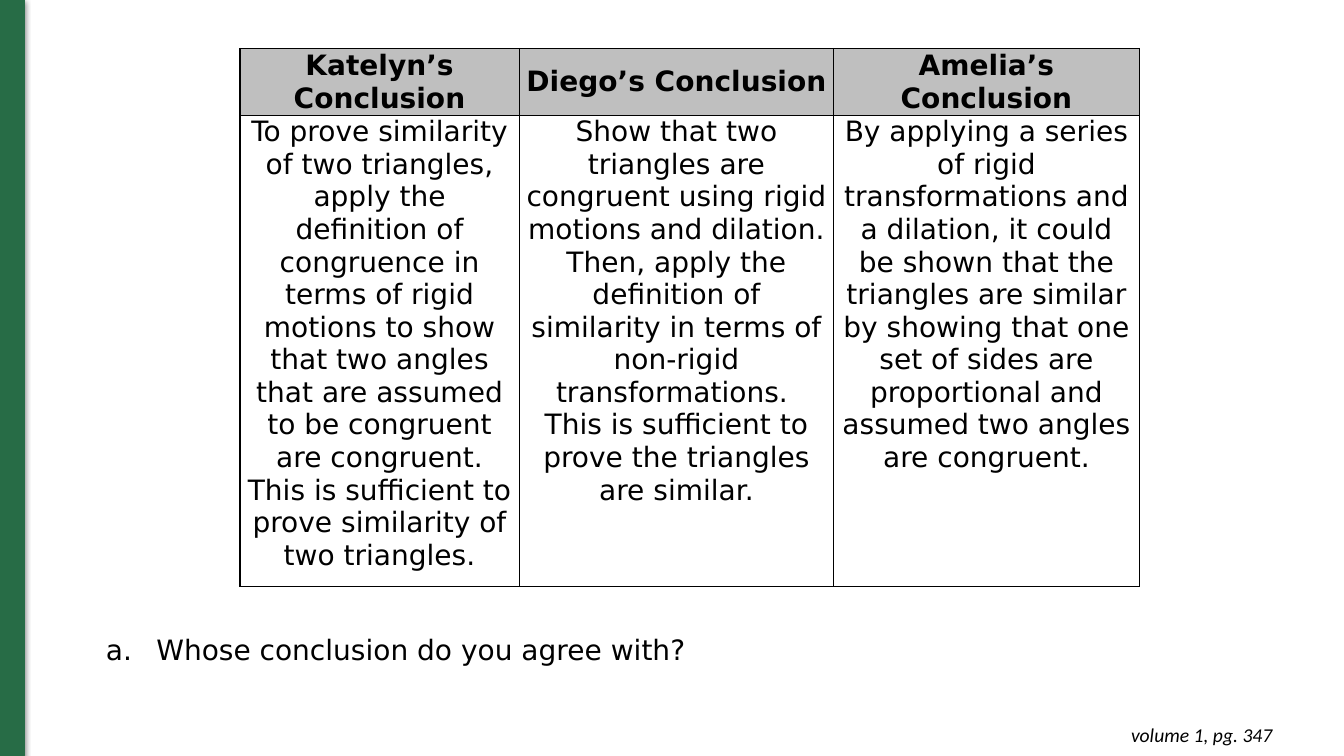
from lxml import etree
from pptx import Presentation
from pptx import util as u
from pptx.dml.color import RGBColor
from pptx.enum import shapes, text
from pptx.oxml import ns

PX = 9144
GREEN = RGBColor(0x27, 0x6C, 0x46)
GREY = RGBColor(0xBF, 0xBF, 0xBF)
BLACK = RGBColor(0, 0, 0)
BODY_FONT = "DejaVu Sans"

CONCLUSIONS = [
    ("Katelyn’s Conclusion", 277,
     "To prove similarity of two triangles, apply the definition of congruence "
     "in terms of rigid motions to show that two angles that are assumed to be "
     "congruent are congruent. This is sufficient to prove similarity of two "
     "triangles."),
    ("Diego’s Conclusion", 312,
     "Show that two triangles are congruent using rigid motions and dilation. "
     "Then, apply the definition of similarity in terms of non-rigid "
     "transformations.  This is sufficient to prove the triangles are similar."),
    ("Amelia’s Conclusion", 303,
     "By applying a series of rigid transformations and a dilation, it could be "
     "shown that the triangles are similar by showing that one set of sides are "
     "proportional and assumed two angles are congruent."),
]


def px(*lengths):
    """Turn pixel lengths into EMU."""
    return [u.Emu(n * PX) for n in lengths]


def sub(parent, tag, **attrs):
    """Append a DrawingML element with the given attributes."""
    el = etree.SubElement(parent, ns.qn("a:" + tag))
    for key, value in attrs.items():
        el.set(key, str(value))
    return el


def color_el(parent, color):
    """Append an RGB colour element."""
    return sub(parent, "srgbClr", val=color)


def write(tf, words, size=20, font=BODY_FONT, bold=False, italic=False,
          align=text.PP_ALIGN.LEFT):
    """Write one formatted paragraph into a text frame."""
    p = tf.paragraphs[0]
    p.alignment = align
    r = p.add_run()
    r.text = words
    f = r.font
    f.name, f.size, f.bold, f.italic = font, u.Pt(size), bold, italic
    f.color.rgb = BLACK
    return p


def side_band(s, box):
    """Draw the shadowed green band along the left edge."""
    sp = s.shapes.add_shape(shapes.MSO_SHAPE.RECTANGLE, *px(*box))
    sp.shadow.inherit = False
    sp.fill.solid()
    sp.fill.fore_color.rgb = GREEN
    sp.line.color.rgb = GREEN
    sp.line.width = u.Pt(0.75)
    effects = sp._element.spPr.find(ns.qn("a:effectLst"))
    shadow = sub(effects, "outerShdw", blurRad=u.Pt(4.5), dist=u.Pt(1.5),
                 dir=90 * 60000, rotWithShape=0)
    sub(color_el(shadow, BLACK), "alpha", val=50000)


def page_reference(s, box):
    """Place the right-aligned volume and page reference."""
    tf = s.shapes.add_textbox(*px(*box)).text_frame
    tf.word_wrap = True
    tf.margin_left, tf.margin_top, tf.margin_right, tf.margin_bottom = px(10, 10, 10, 10)
    tf.auto_size = text.MSO_AUTO_SIZE.SHAPE_TO_FIT_TEXT
    write(tf, "volume 1, pg. 347", size=14, font="Calibri", italic=True,
          align=text.PP_ALIGN.RIGHT)


def question(s, box):
    """Place the lettered question in the body placeholder."""
    sp = s.placeholders[1]
    sp.left, sp.top, sp.width, sp.height = px(*box)
    tf = sp.text_frame
    tf.word_wrap = True
    tf.auto_size = text.MSO_AUTO_SIZE.SHAPE_TO_FIT_TEXT
    tf.vertical_anchor = text.MSO_ANCHOR.TOP
    pPr = tf.paragraphs[0]._p.get_or_add_pPr()
    pPr.set("marL", str(50 * PX))
    pPr.set("indent", str(-50 * PX))
    color_el(sub(pPr, "buClr"), BLACK)
    sub(pPr, "buFont", typeface=BODY_FONT)
    sub(pPr, "buAutoNum", type="alphaLcPeriod")
    p = write(tf, "Whose conclusion do you agree with?")
    p.space_before = u.Pt(0)


def format_cell(cell, words, header):
    """Fill, border and write one table cell."""
    cell.margin_left, cell.margin_top, cell.margin_right, cell.margin_bottom = px(7, 0, 7, 0)
    cell.vertical_anchor = text.MSO_ANCHOR.MIDDLE if header else text.MSO_ANCHOR.TOP
    tcPr = cell._tc.get_or_add_tcPr()
    for side in ("lnL", "lnR", "lnT", "lnB"):
        color_el(sub(sub(tcPr, side, w=u.Pt(1)), "solidFill"), BLACK)
    if header:
        cell.fill.solid()
        cell.fill.fore_color.rgb = GREY
    else:
        cell.fill.background()
    write(cell.text_frame, words, bold=header, align=text.PP_ALIGN.CENTER)


def conclusions_table(s, box):
    """Build the table with one student's conclusion per column."""
    header_height = 66
    table = s.shapes.add_table(2, len(CONCLUSIONS), *px(*box)).table
    table.horz_banding = False
    table.rows[0].height, table.rows[1].height = px(header_height, box[3] - header_height)
    for col, (name, width, conclusion) in enumerate(CONCLUSIONS):
        table.columns[col].width = px(width)[0]
        format_cell(table.cell(0, col), name, True)
        format_cell(table.cell(1, col), conclusion, False)


def main():
    """Build and save the slide."""
    prs = Presentation()
    prs.slide_width, prs.slide_height = px(1333, 750)
    s = prs.slides.add_slide(prs.slide_layouts[1])
    title = s.shapes.title._element
    title.getparent().remove(title)
    side_band(s, (0, 0, 24, 750))
    page_reference(s, (984, 707, 288, 44))
    question(s, (95, 622, 1005, 44))
    conclusions_table(s, (238, 48, 892, 533))
    prs.save("out.pptx")


if __name__ == "__main__":
    main()
